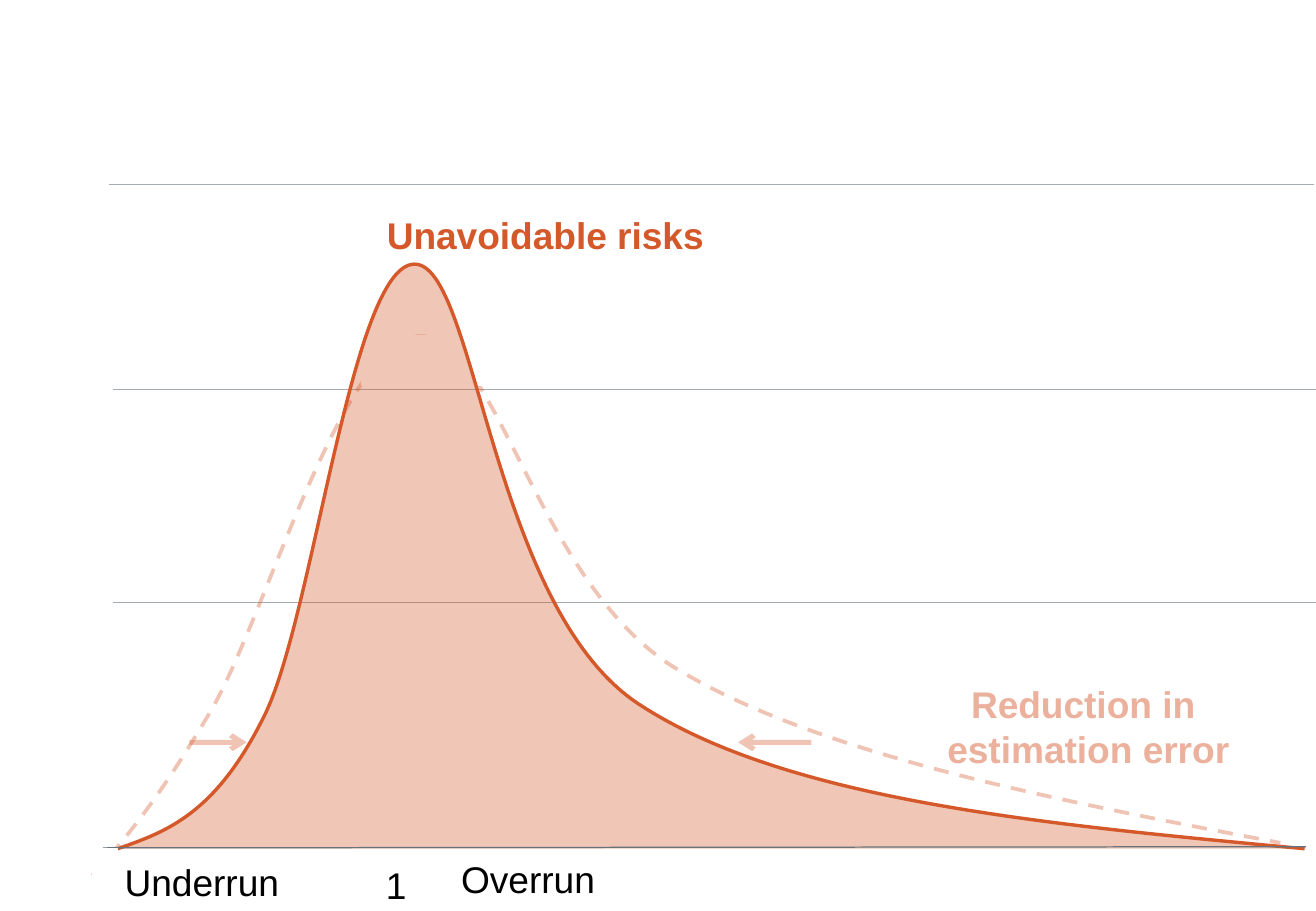
from lxml.etree import SubElement
from pptx import Presentation
from pptx.dml.color import RGBColor
from pptx.enum.dml import MSO_LINE as Dash
from pptx.enum.shapes import MSO_CONNECTOR as Link, MSO_SHAPE as Kind
from pptx.enum.text import PP_ALIGN as Align
from pptx.oxml.ns import qn
from pptx.util import Pt

ORANGE = RGBColor(0xD4, 0x58, 0x2A)
PEACH = RGBColor(0xEC, 0xB1, 0x9C)
GREY = RGBColor(0xA4, 0xAB, 0xB1)
SLATE = RGBColor(0x6A, 0x73, 0x7B)
BLACK = RGBColor(0, 0, 0)
WHITE = RGBColor(255, 255, 255)

BEFORE = [(0.7, 410.1), (19.4, 389.2), (38.2, 367.6), (69.8, 314.4),
          (102.2, 261.1), (147.6, 94.8), (193.7, 90.4), (239.8, 86.1),
          (263.5, 238.8), (348.5, 288.4), (433.4, 338.8), (568.8, 364.8),
          (704.9, 390.7)]
AFTER = [(15.8, 394.1), (44.6, 384), (73.4, 373.9), (102.2, 316.3),
         (131.8, 258.7), (154.1, 48.5), (191.5, 47.6), (228.2, 46.3),
         (236.9, 250.8), (324.7, 308.4), (412.6, 366), (565.9, 379.7),
         (719.3, 394.1)]


def fade(shape, part, share):
    for color in shape._element.spPr.findall(part + "//" + qn("a:srgbClr")):
        SubElement(color, qn("a:alpha")).set("val", str(share * 1000))


def add_line(slide, start, end, color, width=0.75):
    line = slide.shapes.add_connector(
        Link.STRAIGHT, *[Pt(n) for n in start + end])
    line.line.color.rgb = color
    line.line.width = Pt(width)
    SubElement(line._element.spPr, qn("a:effectLst"))
    return line


def add_arrow(slide, start, end):
    arrow = add_line(slide, start, end, ORANGE, 3)
    fade(arrow, qn("a:ln"), 35)
    tip = SubElement(arrow._element.spPr.find(qn("a:ln")), qn("a:tailEnd"))
    tip.set("type", "arrow")


def add_mask(slide, left, top, width, height):
    mask = slide.shapes.add_shape(
        Kind.RECTANGLE, Pt(left), Pt(top), Pt(width), Pt(height))
    mask.shadow.inherit = False
    mask.fill.solid()
    mask.fill.fore_color.rgb = WHITE
    mask.line.color.rgb = WHITE
    mask.line.width = Pt(0.75)


def bend(curve, spots):
    steps = list(curve._element.spPr.iter(qn("a:lnTo")))
    for i, step in enumerate(steps):
        step.tag = qn("a:cubicBezTo")
        step.clear()
        for x, y in spots[3 * i + 1:3 * i + 4]:
            knot = SubElement(step, qn("a:pt"))
            knot.set("x", str(x - curve.left))
            knot.set("y", str(y - curve.top))


def add_curve(slide, left, top, knots, width):
    spots = [(Pt(left + x), Pt(top + y)) for x, y in knots]
    pen = slide.shapes.build_freeform(*spots[0])
    pen.add_line_segments(spots[3::3], close=False)
    curve = pen.convert_to_shape()
    segments = list(curve._element.spPr.iter(qn("a:lnTo")))
    for i, old in enumerate(segments):
        home = old.getparent()
        new = SubElement(home, qn("a:cubicBezTo"))
        for x, y in spots[3 * i + 1:3 * i + 4]:
            knot = SubElement(new, qn("a:pt"))
            knot.set("x", str(x - curve.left))
            knot.set("y", str(y - curve.top))
        home.remove(old)
    curve.shadow.inherit = False
    curve.fill.background()
    curve.line.color.rgb = ORANGE
    curve.line.width = Pt(width)
    return curve


def add_label(slide, left, top, width, rows, color, bold=False, align=Align.LEFT):
    box = slide.shapes.add_textbox(
        Pt(left), Pt(top), Pt(width), Pt(7.2 + 26.5 * len(rows)))
    box.text_frame.word_wrap = True
    para = box.text_frame.paragraphs[0]
    para.alignment = align
    for i, row in enumerate(rows):
        if i:
            para.add_line_break()
        run = para.add_run()
        run.text = row
        run.font.name = "Arial"
        run.font.size = Pt(22)
        run.font.bold = bold
        run.font.color.rgb = color


def draw_plot(slide, left, top, width):
    for x, y, end in ((13, 122, width), (13, 248, width), (10.6, 0.2, 724.6)):
        add_line(slide, (left + x, top + y), (left + end, top + y), GREY)

    before = add_curve(slide, left, top, BEFORE, 2.25)
    before.line.dash_style = Dash.DASH
    fade(before, qn("a:ln"), 35)
    add_mask(slide, left + 160.5, top + 90.2, 73.5, 29)

    after = add_curve(slide, left, top, AFTER, 2)
    after.fill.solid()
    after.fill.fore_color.rgb = ORANGE
    fade(after, qn("a:solidFill"), 34)

    add_label(slide, left + 168.2, top + 13.5, 225, ["Unavoidable risks"],
              ORANGE, True)
    add_label(slide, left + 477.6, top + 291.5, 227,
              ["Reduction in ", "estimation error"], PEACH, True, Align.CENTER)


def draw_axis(slide, left, top, width):
    for text, x, y, span in (("1", 167.6, 5, 33), ("Underrun", 12.8, 3, 122),
                             ("Overrun", 212.3, 1.5, 122)):
        add_label(slide, left + x, top + y, span, [text], BLACK)
    add_line(slide, (left + 7, top), (left + width - 6, top - 0.7), SLATE)
    add_mask(slide, left + 0.7, top + 0.7, 15, 21.5)


def draw_shift(slide, left, top, width):
    add_arrow(slide, (left + width, top), (left + width - 43.4, top))
    add_arrow(slide, (left, top), (left + 34, top))


def main():
    deck = Presentation()
    deck.slide_width, deck.slide_height = Pt(780), Pt(540)
    slide = deck.slides.add_slide(deck.slide_layouts[6])
    draw_plot(slide, 54, 109, 726)
    draw_axis(slide, 54, 502.6, 726)
    draw_shift(slide, 112.2, 440, 368.7)
    deck.save("out.pptx")


if __name__ == "__main__":
    main()
